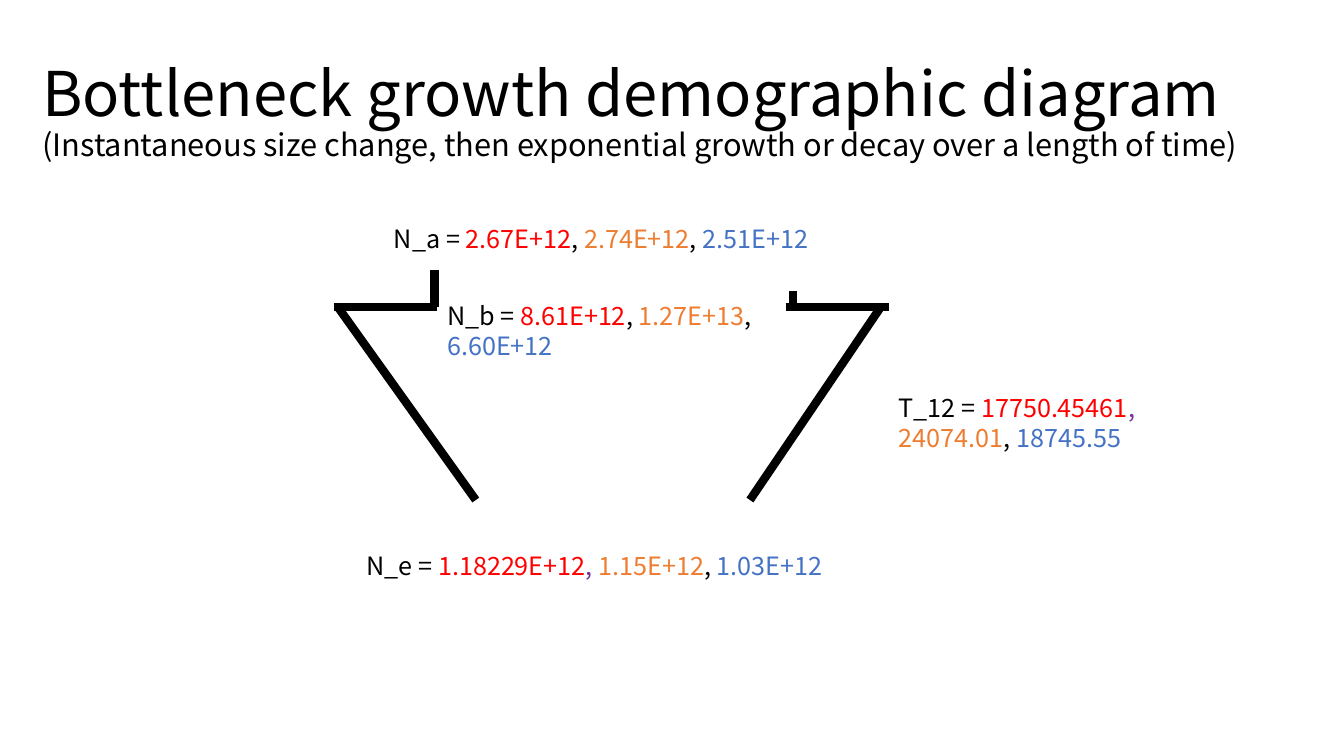
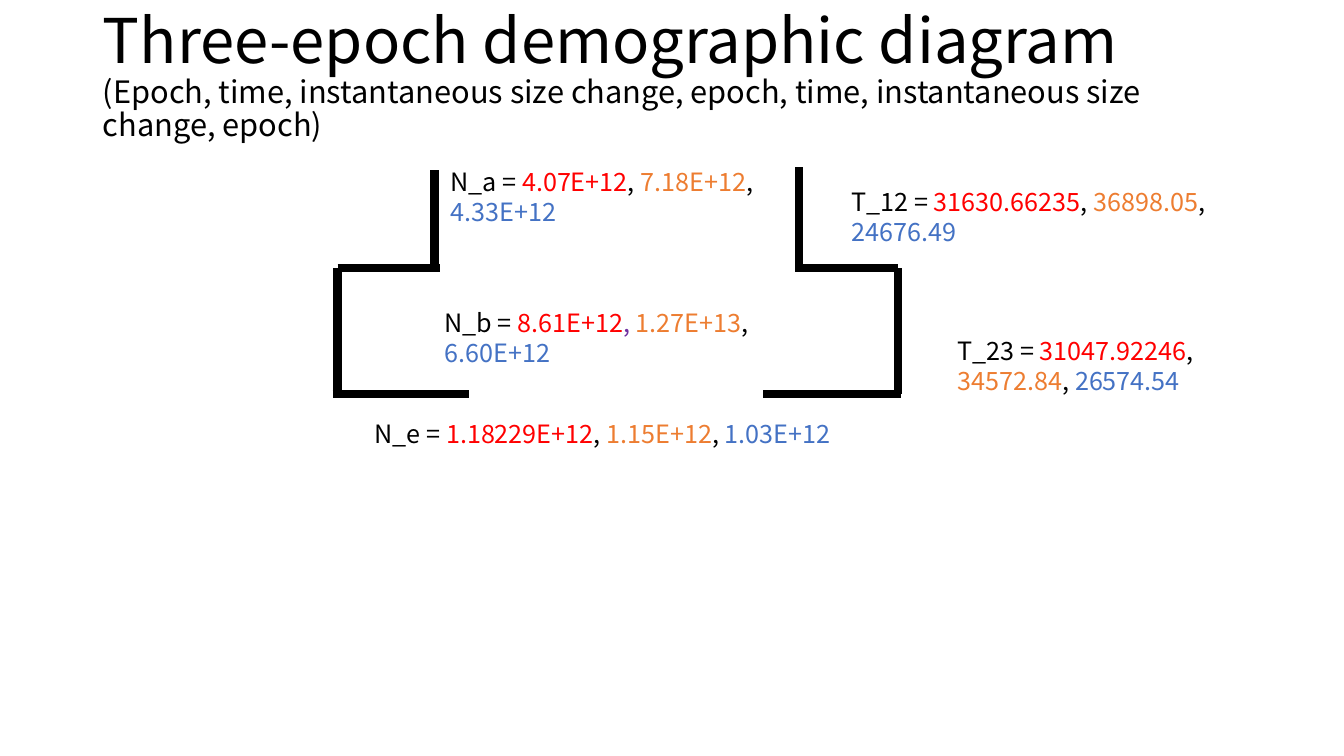
"""Build two slides of demographic model diagrams with their fitted parameters."""
from dataclasses import dataclass

from lxml.etree import SubElement
from pptx import Presentation
from pptx.dml.color import RGBColor
from pptx.enum.shapes import MSO_CONNECTOR
from pptx.enum.text import MSO_ANCHOR, MSO_AUTO_SIZE, PP_ALIGN
from pptx.oxml.ns import qn
from pptx.util import Cm, Pt


@dataclass(frozen=True)
class Theme:
    """Colours, font and sizes shared by the slides."""
    font: str = "Noto Sans CJK JP"
    ink: str = "000000"
    accent: str = "7030A0"
    values: tuple = ("FF0000", "ED7D31", "4472C4")
    title_size: int = 44
    subtitle_size: int = 22
    label_size: int = 18
    line_width: int = 6


THEME = Theme()

SLIDES = [
    {
        "title": "Bottleneck growth demographic diagram",
        "subtitle": "(Instantaneous size change, then exponential growth or decay over a length of time)",
        "title_box": (0.81, 1.02, 30.71, 3.68),
        "lines": [
            (10.95, 6.81, 10.95, 7.73),
            (19.99, 7.34, 19.99, 7.73),
            (8.41, 7.73, 11.02, 7.73),
            (19.81, 7.73, 22.4, 7.73),
            (8.51, 7.73, 11.99, 12.6),
            (22.2, 7.73, 18.9, 12.6),
        ],
        "labels": [
            {"name": "N_e", "values": ("1.18229E+12", "1.15E+12", "1.03E+12"),
             "box": (8.99, 13.74, 12.67, 1.02), "wrap": False, "first_comma": THEME.accent},
            {"name": "T_12", "values": ("17750.45461", "24074.01", "18745.55"),
             "box": (22.4, 9.75, 7.01, 2.57), "first_comma": THEME.accent},
            {"name": "N_b", "values": ("8.61E+12", "1.27E+13", "6.60E+12"),
             "box": (11.02, 7.44, 9.12, 4.88)},
            {"name": "N_a", "values": ("2.67E+12", "2.74E+12", "2.51E+12"),
             "box": (9.68, 5.51, 11.79, 1.02), "wrap": False},
        ],
    },
    {
        "title": "Three-epoch demographic diagram",
        "subtitle": "(Epoch, time, instantaneous size change, epoch, time, instantaneous size change, epoch)",
        "title_box": (2.34, 0.1, 29.21, 3.68),
        "lines": [
            (10.95, 4.29, 10.95, 6.76),
            (20.14, 4.22, 20.14, 6.76),
            (8.51, 6.76, 11.1, 6.76),
            (20.04, 6.76, 22.63, 6.76),
            (8.51, 6.76, 8.51, 9.93),
            (22.63, 6.76, 22.63, 9.93),
            (8.38, 9.93, 11.81, 9.93),
            (19.23, 9.93, 22.71, 9.93),
        ],
        "labels": [
            {"name": "N_e", "values": ("1.18229E+12", "1.15E+12", "1.03E+12"),
             "box": (9.19, 10.41, 12.67, 2.57), "wrap": False},
            {"name": "N_a", "values": ("4.07E+12", "7.18E+12", "4.33E+12"),
             "box": (11.1, 4.06, 8.46, 3.33)},
            {"name": "N_b", "values": ("8.61E+12", "1.27E+13", "6.60E+12"),
             "box": (10.95, 7.62, 9.14, 1.8), "first_comma": THEME.accent},
            {"name": "T_12", "values": ("31630.66235", "36898.05", "24676.49"),
             "box": (21.21, 4.57, 9.86, 4.11)},
            {"name": "T_23", "values": ("31047.92246", "34572.84", "26574.54"),
             "box": (23.88, 8.33, 7.92, 1.8)},
        ],
    },
]


def set_attributes(target, formats):
    """Set each named attribute of the target."""
    for name, value in formats.items():
        setattr(target, name, value)


def add_run(paragraph, text, size, color=THEME.ink):
    """Add one formatted run."""
    run = paragraph.add_run()
    run.text = text
    set_attributes(run.font, {"name": THEME.font, "size": Pt(size)})
    run.font.color.rgb = RGBColor.from_string(color)


def format_title(slide, content):
    """Place the title and write its two lines."""
    title = slide.shapes.title
    box = map(Cm, content["title_box"])
    set_attributes(title, dict(zip(("left", "top", "width", "height"), box)))
    set_attributes(title.text_frame, {
        "word_wrap": True,
        "auto_size": MSO_AUTO_SIZE.NONE,
        "vertical_anchor": MSO_ANCHOR.MIDDLE,
    })
    paragraph = title.text_frame.paragraphs[0]
    set_attributes(paragraph, {"alignment": PP_ALIGN.LEFT, "line_spacing": 0.9})
    add_run(paragraph, content["title"], THEME.title_size)
    paragraph.add_line_break()
    add_run(paragraph, content["subtitle"], THEME.subtitle_size)


def add_line(slide, points):
    """Draw one thick straight line."""
    connector = slide.shapes.add_connector(MSO_CONNECTOR.STRAIGHT, *map(Cm, points))
    connector.line.width = Pt(THEME.line_width)
    connector.line.color.rgb = RGBColor.from_string(THEME.ink)
    SubElement(connector._element.spPr, qn("a:effectLst"))


def add_label(slide, label):
    """Write a parameter name followed by its coloured values."""
    text_frame = slide.shapes.add_textbox(*map(Cm, label["box"])).text_frame
    set_attributes(text_frame, {
        "word_wrap": label.get("wrap", True),
        "auto_size": MSO_AUTO_SIZE.SHAPE_TO_FIT_TEXT,
    })
    paragraph = text_frame.paragraphs[0]
    separators = [
        (f"{label['name']} = ", THEME.ink),
        (", ", label.get("first_comma", THEME.ink)),
        (", ", THEME.ink),
    ]
    for (separator, color), value, value_color in zip(separators, label["values"], THEME.values):
        add_run(paragraph, separator, THEME.label_size, color)
        add_run(paragraph, value, THEME.label_size, value_color)


def main():
    """Build and save the presentation."""
    presentation = Presentation()
    set_attributes(presentation, {"slide_width": Cm(33.87), "slide_height": Cm(19.05)})
    title_only = presentation.slide_layouts.get_by_name("Title Only")
    for content in SLIDES:
        slide = presentation.slides.add_slide(title_only)
        format_title(slide, content)
        for points in content["lines"]:
            add_line(slide, points)
        for label in content["labels"]:
            add_label(slide, label)
    presentation.save("out.pptx")


if __name__ == "__main__":
    main()
